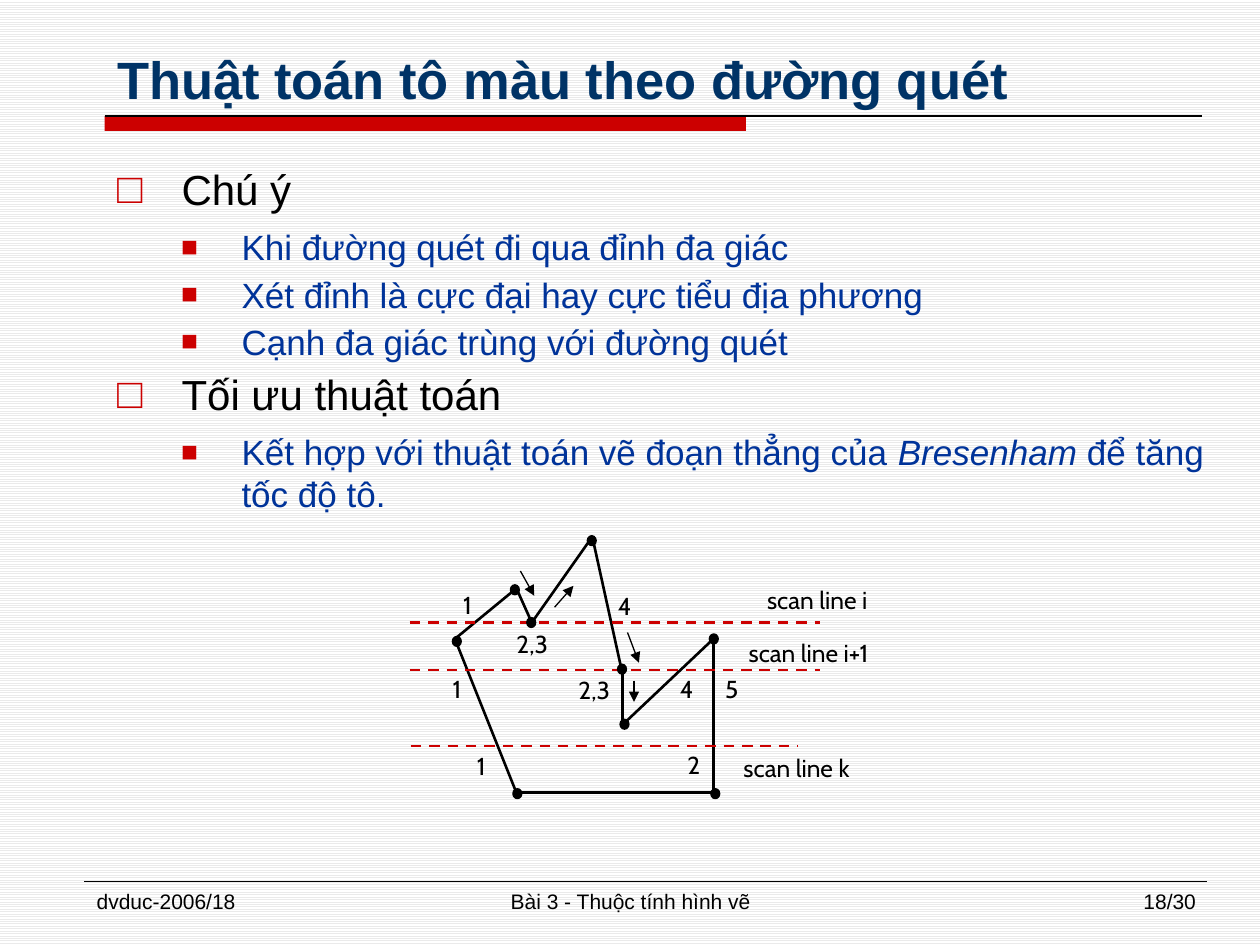
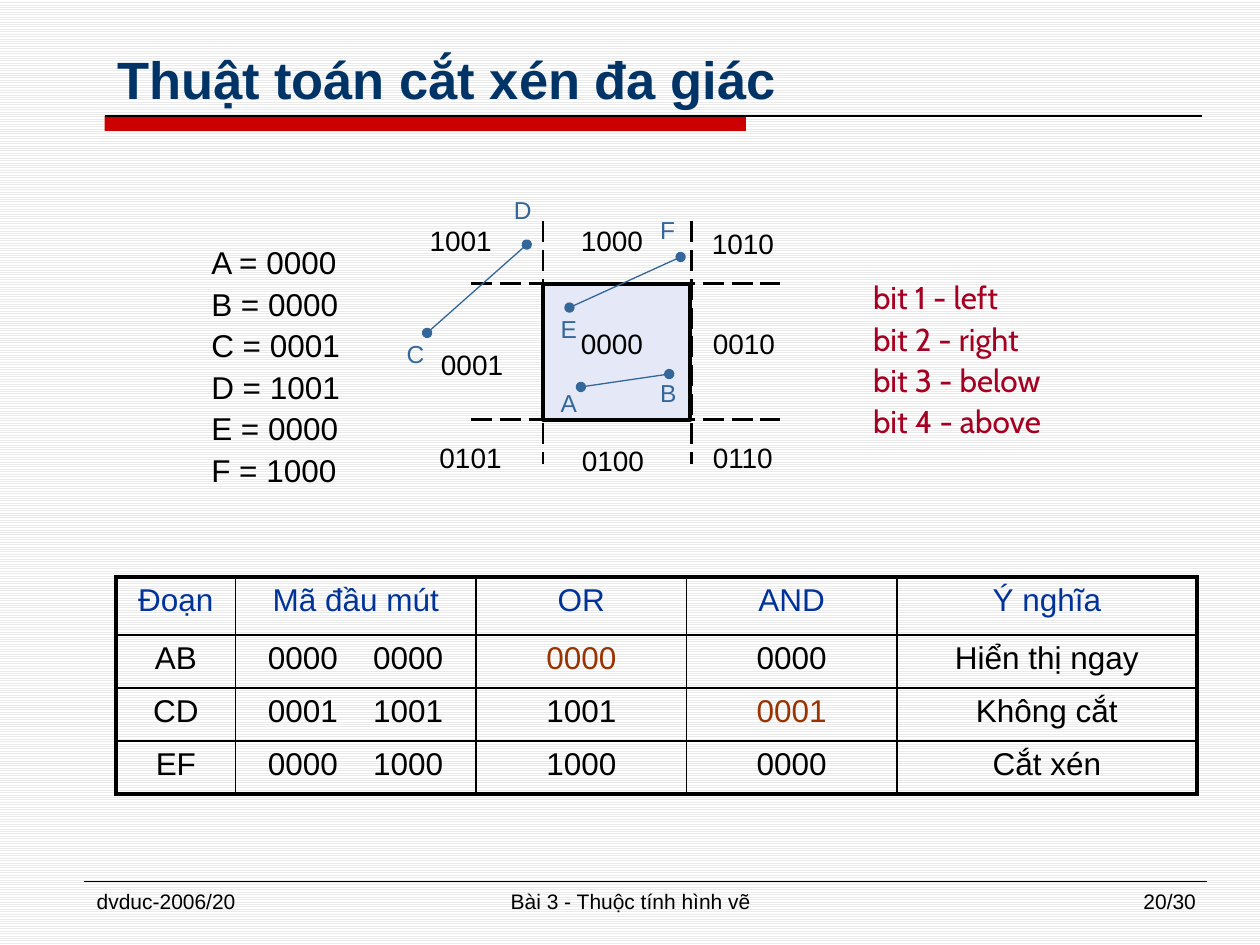
"""Build two lecture slides: scan-line polygon filling and segment clipping."""
from dataclasses import dataclass, replace
from typing import NamedTuple, Optional

from lxml.etree import SubElement
from pptx import Presentation
from pptx.dml.color import RGBColor
from pptx.enum.dml import MSO_LINE, MSO_PATTERN
from pptx.enum.shapes import MSO_CONNECTOR, MSO_SHAPE
from pptx.enum.text import MSO_ANCHOR, PP_ALIGN
from pptx.oxml.ns import qn
from pptx.util import Cm, Pt


@dataclass(frozen=True)
class TextStyle:
    size: float
    color: str
    font: str = "Arial"
    bold: bool = False
    italic: bool = False
    align: PP_ALIGN = PP_ALIGN.LEFT


@dataclass(frozen=True)
class Theme:
    red: str = "CC0000"
    black: str = "000000"
    segment: str = "336699"
    window: str = "E5E9F7"
    stripe: str = "EAEAEA"
    paper: str = "FFFFFF"
    title: TextStyle = TextStyle(30, "003366", bold=True)
    footer: TextStyle = TextStyle(12, "000000")
    topic: TextStyle = TextStyle(24, "000000")
    detail: TextStyle = TextStyle(20, "003399")
    figure: TextStyle = TextStyle(14, "000000", "Cabin", align=PP_ALIGN.CENTER)
    code: TextStyle = TextStyle(16, "000000")
    endpoint: TextStyle = TextStyle(14, "336699")
    listing: TextStyle = TextStyle(18, "000000")
    bit: TextStyle = TextStyle(18, "A50021", "Cabin")
    header: TextStyle = TextStyle(18, "003399", align=PP_ALIGN.CENTER)
    cell: TextStyle = TextStyle(18, "000000", align=PP_ALIGN.CENTER)
    decisive: TextStyle = TextStyle(18, "993300", align=PP_ALIGN.CENTER)


class Bullet(NamedTuple):
    mark: str
    percent: int
    margin: float
    hang: float
    style: TextStyle
    after: float


class Label(NamedTuple):
    text: str
    x: float
    y: float
    width: float


class Stroke(NamedTuple):
    x1: float
    y1: float
    x2: float
    y2: float


class Corner(NamedTuple):
    x: float
    y: float
    dot_x: float
    dot_y: float


THEME = Theme()
TOPIC = Bullet("□", 100, 1.3, 1.3, THEME.topic, 3.6)
DETAIL = Bullet("■", 80, 2.51, 1.22, THEME.detail, 0)

NOTES = [
    (TOPIC, ["Chú ý"]),
    (DETAIL, ["Khi đường quét đi qua đỉnh đa giác"]),
    (DETAIL, ["Xét đỉnh là cực đại hay cực tiểu địa phương"]),
    (DETAIL, ["Cạnh đa giác trùng với đường quét"]),
    (TOPIC, ["Tối ưu thuật toán"]),
    (DETAIL, ["Kết hợp với thuật toán vẽ đoạn thẳng của ", "Bresenham ", "để tăng tốc độ tô."]),
]
CORNERS = [
    Corner(9.17, 12.88, 9.12, 12.83), Corner(10.41, 11.86, 10.29, 11.79),
    Corner(10.72, 12.55, 10.62, 12.45), Corner(11.94, 10.82, 11.84, 10.8),
    Corner(12.55, 13.59, 12.45, 13.39), Corner(12.55, 14.61, 12.5, 14.5),
    Corner(14.38, 12.88, 14.3, 12.78), Corner(14.38, 15.98, 14.33, 15.9),
    Corner(10.41, 15.98, 10.34, 15.9),
]
SCAN_LINES = [
    Stroke(8.26, 12.55, 16.54, 12.55), Stroke(8.26, 13.51, 16.54, 13.51),
    Stroke(8.28, 15.04, 16.08, 15.04),
]
DIRECTIONS = [
    Stroke(10.49, 11.51, 10.77, 12.01), Stroke(11.18, 12.24, 11.56, 11.81),
    Stroke(12.65, 12.75, 12.88, 13.36), Stroke(12.78, 13.72, 12.78, 14.15),
]
SCAN_LABELS = [
    Label("1", 8.97, 11.76, 0.91), Label("2,3", 9.83, 12.55, 1.8),
    Label("4", 12.14, 11.79, 0.91), Label("1", 8.76, 13.46, 0.91),
    Label("2,3", 11.13, 13.49, 1.7), Label("4", 13.39, 13.46, 0.91),
    Label("5", 14.3, 13.46, 0.91), Label("scan line i", 14.94, 11.66, 3.07),
    Label("scan line i+1", 14.61, 12.73, 3.38), Label("1", 9.27, 15.01, 0.86),
    Label("scan line k", 14.61, 15.06, 2.9), Label("2", 13.56, 14.99, 0.86),
]
REGION_CODES = [
    Label("1001", 8.41, 4.39, 1.77), Label("1000", 11.46, 4.39, 1.77),
    Label("1010", 14.1, 4.45, 1.77), Label("0001", 8.64, 6.88, 1.77),
    Label("0000", 11.46, 6.45, 1.77), Label("0010", 14.12, 6.45, 1.77),
    Label("0101", 8.61, 8.76, 1.77), Label("0100", 11.48, 8.81, 1.77),
    Label("0110", 14.12, 8.76, 1.77),
]
SEGMENTS = [
    Stroke(11.71, 7.8, 13.49, 7.54), Stroke(10.62, 4.93, 8.61, 6.71),
    Stroke(11.48, 6.2, 13.72, 5.18),
]
ENDPOINTS = [
    Label("A", 11.05, 7.7, 0.85), Label("B", 13.06, 7.49, 0.85),
    Label("C", 7.95, 6.71, 0.85), Label("D", 10.11, 3.81, 0.85),
    Label("E", 11.05, 6.2, 0.85), Label("F", 13.06, 4.22, 0.85),
]
ENDPOINT_CODES = ["A = 0000", "B = 0000", "C = 0001", "D = 1001", "E = 0000", "F = 1000"]
BITS = ["bit 1 - left", "bit 2 - right", "bit 3 - below", "bit 4 - above"]
CLIP_ROWS = [
    ["Đoạn", "Mã đầu mút", "OR", "AND", "Ý nghĩa"],
    ["AB", "0000\t0000", "0000", "0000", "Hiển thị ngay"],
    ["CD", "0001\t1001", "1001", "0001", "Không cắt"],
    ["EF", "0000\t1000", "1000", "0000", "Cắt xén"],
]
DECISIVE_CELLS = {(1, 2), (2, 3)}
COLUMN_WIDTHS = [2.41, 4.85, 4.24, 4.24, 6.05]
ROW_HEIGHTS = [1.17, 1.07, 1.07, 1.07]


def add_span(para, text: str, style: TextStyle) -> None:
    span = para.add_run()
    span.text = text
    span.font.name = style.font
    span.font.size = Pt(style.size)
    span.font.bold = style.bold
    span.font.italic = style.italic
    span.font.color.rgb = RGBColor.from_string(style.color)
    para.alignment = style.align


def add_text(page, lines: list[str], x: float, y: float, width: float, height: float,
             style: TextStyle, wrap: bool = True):
    box = page.shapes.add_textbox(Cm(x), Cm(y), Cm(width), Cm(height))
    frame = box.text_frame
    frame.word_wrap = wrap
    for index, line in enumerate(lines):
        para = frame.paragraphs[0] if index == 0 else frame.add_paragraph()
        add_span(para, line, style)
    return frame


def add_labels(page, labels: list[Label], height: float, style: TextStyle, wrap: bool) -> None:
    for label in labels:
        add_text(page, [label.text], label.x, label.y, label.width, height, style, wrap)


def add_stroke(page, stroke: Stroke, color: str, weight: float, dash: Optional[MSO_LINE] = None,
               head: str = "", tail: str = "") -> None:
    connector = page.shapes.add_connector(MSO_CONNECTOR.STRAIGHT, *(Cm(value) for value in stroke))
    connector.line.width = Pt(weight)
    connector.line.color.rgb = RGBColor.from_string(color)
    if dash is not None:
        connector.line.dash_style = dash
    for tag, kind in (("a:headEnd", head), ("a:tailEnd", tail)):
        if kind:
            SubElement(connector.line._get_or_add_ln(), qn(tag), type=kind)
    SubElement(connector._element.spPr, qn("a:effectLst"))


def add_solid(page, preset: MSO_SHAPE, x: float, y: float, width: float, height: float,
              color: str, outline: float = 0) -> None:
    shape = page.shapes.add_shape(preset, Cm(x), Cm(y), Cm(width), Cm(height))
    shape.shadow.inherit = False
    shape.fill.solid()
    shape.fill.fore_color.rgb = RGBColor.from_string(color)
    if outline:
        shape.line.width = Pt(outline)
        shape.line.color.rgb = RGBColor.from_string(THEME.black)
    else:
        shape.line.fill.background()


def add_page(deck, title: str, number: str):
    page = deck.slides.add_slide(deck.slide_layouts[6])
    fill = page.background.fill
    fill.patterned()
    fill.pattern = MSO_PATTERN.LIGHT_HORIZONTAL
    fill.fore_color.rgb = RGBColor.from_string(THEME.stripe)
    fill.back_color.rgb = RGBColor.from_string(THEME.paper)
    add_solid(page, MSO_SHAPE.RECTANGLE, 2.11, 2.34, 12.93, 0.3, THEME.red)
    add_stroke(page, Stroke(2.11, 2.34, 24.23, 2.34), THEME.black, 0.75)
    add_stroke(page, Stroke(1.7, 17.76, 24.33, 17.76), THEME.black, 0.25)
    frame = add_text(page, [title], 2.11, 0.43, 22.86, 1.91, THEME.title)
    frame.vertical_anchor = MSO_ANCHOR.BOTTOM
    footers = [
        (Label("dvduc-2006/" + number, 1.7, 17.78, 5.51), PP_ALIGN.LEFT),
        (Label("Bài 3 - Thuộc tính hình vẽ", 8.69, 17.78, 8.05), PP_ALIGN.CENTER),
        (Label(number + "/30", 18.85, 17.78, 5.51), PP_ALIGN.RIGHT),
    ]
    for label, align in footers:
        add_labels(page, [label], 0.89, replace(THEME.footer, align=align), True)
    return page


def add_notes(page) -> None:
    frame = add_text(page, [], 2.11, 3.18, 22.86, 14.18, THEME.topic)
    for index, (bullet, texts) in enumerate(NOTES):
        para = frame.paragraphs[0] if index == 0 else frame.add_paragraph()
        para.space_before = Pt(bullet.style.size * 0.15)
        para.space_after = Pt(bullet.after)
        properties = para._p.get_or_add_pPr()
        properties.set("marL", str(Cm(bullet.margin)))
        properties.set("indent", str(-Cm(bullet.hang)))
        color = SubElement(properties, qn("a:buClr"))
        SubElement(color, qn("a:srgbClr"), val=THEME.red)
        SubElement(properties, qn("a:buSzPct"), val=str(bullet.percent * 1000))
        SubElement(properties, qn("a:buFont"), typeface="Arial")
        SubElement(properties, qn("a:buChar"), char=bullet.mark)
        for position, text in enumerate(texts):
            add_span(para, text, replace(bullet.style, italic=position == 1))


def set_borders(cell, row: int, column: int) -> None:
    properties = cell._tc.get_or_add_tcPr()
    outer = {"L": column == 0, "R": column == len(COLUMN_WIDTHS) - 1,
             "T": row == 0, "B": row == len(ROW_HEIGHTS) - 1}
    for side, heavy in outer.items():
        border = SubElement(properties, qn("a:ln" + side), w=str(Pt(2.25 if heavy else 1)))
        fill = SubElement(border, qn("a:solidFill"))
        SubElement(fill, qn("a:srgbClr"), val=THEME.black)


def add_clip_table(page) -> None:
    frame = page.shapes.add_table(len(ROW_HEIGHTS), len(COLUMN_WIDTHS), Cm(2.34), Cm(11.63),
                                  Cm(sum(COLUMN_WIDTHS)), Cm(sum(ROW_HEIGHTS)))
    table = frame.table
    table.first_row = table.horz_banding = False
    for column, width in zip(table.columns, COLUMN_WIDTHS):
        column.width = Cm(width)
    for row, height in zip(table.rows, ROW_HEIGHTS):
        row.height = Cm(height)
    for row, texts in enumerate(CLIP_ROWS):
        for column, text in enumerate(texts):
            cell = table.cell(row, column)
            set_borders(cell, row, column)
            cell.fill.background()
            style = THEME.header if row == 0 else THEME.cell
            if (row, column) in DECISIVE_CELLS:
                style = THEME.decisive
            para = cell.text_frame.paragraphs[0]
            if "\t" in text:
                style = replace(style, align=PP_ALIGN.LEFT)
                cell.margin_left = Cm(0.65)
                tabs = SubElement(para._p.get_or_add_pPr(), qn("a:tabLst"))
                SubElement(tabs, qn("a:tab"), pos=str(Cm(2.12)), algn="l")
            add_span(para, text, style)


def build_scan_page(deck) -> None:
    page = add_page(deck, "Thuật toán tô màu theo đường quét", "18")
    add_notes(page)
    for start, end in zip(CORNERS, CORNERS[1:] + CORNERS[:1]):
        add_stroke(page, Stroke(start.x, start.y, end.x, end.y), THEME.black, 1.5)
    for scan_line in SCAN_LINES:
        add_stroke(page, scan_line, THEME.red, 1.5, MSO_LINE.DASH)
    for corner in CORNERS:
        add_solid(page, MSO_SHAPE.OVAL, corner.dot_x, corner.dot_y, 0.18, 0.2, THEME.black, 0.75)
    for direction in DIRECTIONS:
        add_stroke(page, direction, THEME.black, 0.75, tail="triangle")
    add_labels(page, SCAN_LABELS, 1.04, THEME.figure, True)


def build_clip_page(deck) -> None:
    page = add_page(deck, "Thuật toán cắt xén đa giác", "20")
    bits = add_text(page, BITS, 17.35, 5.49, 4.88, 3.63, THEME.bit)
    for para in bits.paragraphs:
        para.space_before = para.space_after = Pt(1)
    add_solid(page, MSO_SHAPE.RECTANGLE, 10.95, 5.72, 2.97, 2.74, THEME.window, 2.25)
    edges = [Stroke(x, 4.45, x, 9.35) for x in (10.95, 13.94)]
    edges += [Stroke(9.5, y, 15.72, y) for y in (5.72, 8.46)]
    for edge in edges:
        add_stroke(page, edge, THEME.black, 1.5, MSO_LINE.LONG_DASH)
    add_labels(page, REGION_CODES, 0.94, THEME.code, False)
    for segment in SEGMENTS:
        add_stroke(page, segment, THEME.segment, 0.75, head="oval", tail="oval")
    add_labels(page, ENDPOINTS, 0.84, THEME.endpoint, False)
    codes = add_text(page, ENDPOINT_CODES, 4.01, 4.7, 3.12, 5.33, THEME.listing, False)
    for para in codes.paragraphs:
        para.line_spacing = 1.1
    add_clip_table(page)


def main() -> None:
    deck = Presentation()
    deck.slide_width, deck.slide_height = Cm(25.4), Cm(19.05)
    build_scan_page(deck)
    build_clip_page(deck)
    deck.save("out.pptx")


if __name__ == "__main__":
    main()
